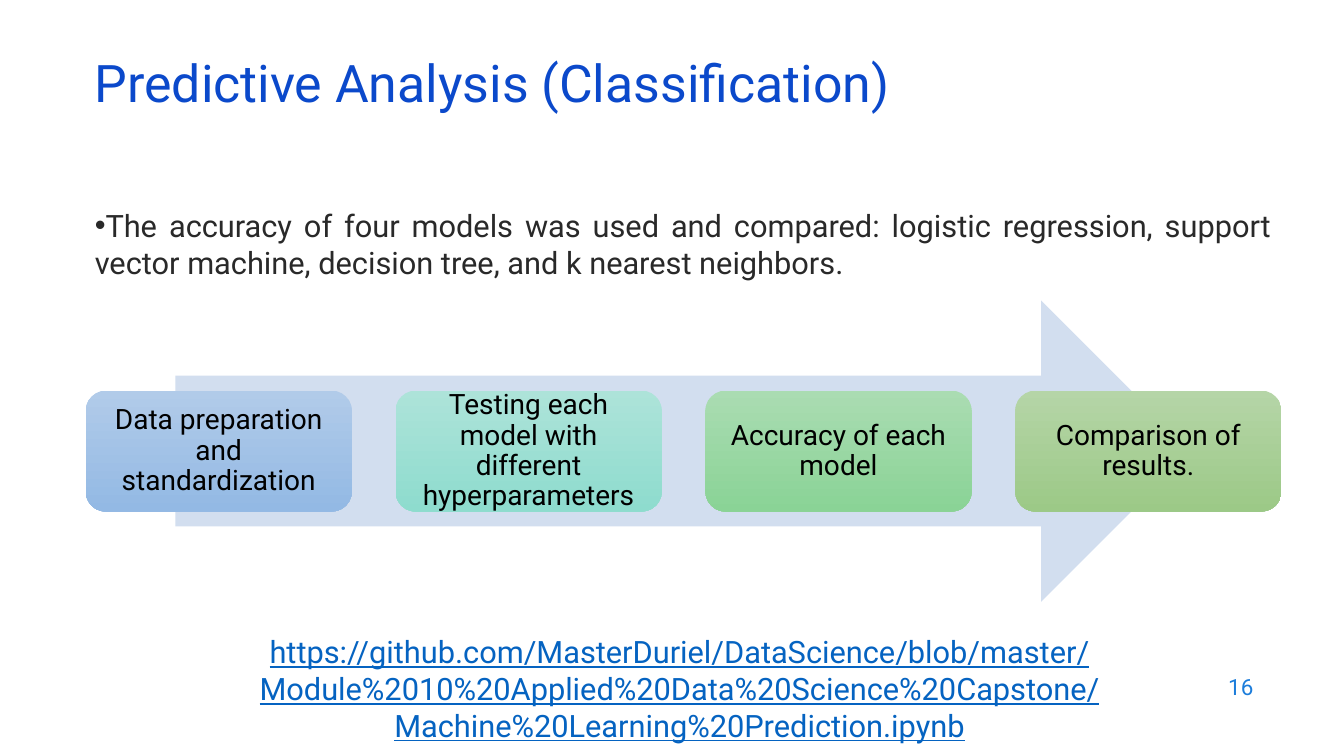
"""Build the slide on predictive analysis with its four-step arrow."""
from pptx import Presentation
from pptx.dml.color import RGBColor
from pptx.enum.shapes import MSO_SHAPE
from pptx.enum.text import MSO_ANCHOR, MSO_AUTO_SIZE, PP_ALIGN
from pptx.util import Inches, Pt
from lxml import etree

ARROW, ROUND = MSO_SHAPE.RIGHT_ARROW, MSO_SHAPE.ROUNDED_RECTANGLE
TOP, MIDDLE = MSO_ANCHOR.TOP, MSO_ANCHOR.MIDDLE
LEFT, CENTER, RIGHT, JUSTIFY = (
    PP_ALIGN.LEFT, PP_ALIGN.CENTER, PP_ALIGN.RIGHT, PP_ALIGN.JUSTIFY)
FIXED = MSO_AUTO_SIZE.NONE

TITLE = "Predictive Analysis (Classification)"
BODY = ("The accuracy of four models was used and compared: logistic regression, "
        "support vector machine, decision tree, and k nearest neighbors.")
LINK = ("https://github.com/MasterDuriel/DataScience/blob/master/"
        "Module%2010%20Applied%20Data%20Science%20Capstone/"
        "Machine%20Learning%20Prediction.ipynb")
PAGE = "16"
STEPS = [
    ("Data preparation and standardization", "B1CBE9", "93B9E4"),
    ("Testing each model with different hyperparameters", "ADE3D9", "8EDCCE"),
    ("Accuracy of each model", "AADCB2", "8AD396"),
    ("Comparison of results.", "B5D5A7", "9CC987"),
]
COLORS = {"title": "0B49CB", "body": "292929", "link": "0563C1",
          "page": "1C7DDB", "step": "000000", "arrow": "D2DEEF"}
FONT = "Roboto"
WIDE, HIGH = 13.33, 7.5
EDGE, SPAN = 0.85, 11.86
CARD_W, CARD_H = 2.64, 1.2
ARROW_W, ARROW_H, ARROW_Y = 0.85 * SPAN, 2.99, 2.98
PAD = 0.14


def rgb(code):
    return RGBColor.from_string(code)


def place(shape, *box):
    shape.left, shape.top, shape.width, shape.height = map(Inches, box)


def write(shape, text, size, color, align, anchor):
    frame = shape.text_frame
    frame.word_wrap, frame.auto_size = True, FIXED
    frame.vertical_anchor = anchor
    para = frame.paragraphs[0]
    para.text, para.alignment = text, align
    para.space_before = Pt(0)
    font = para.font
    font.name, font.size = FONT, Pt(size)
    font.color.rgb = rgb(COLORS[color])
    return para


def add_shape(slide, kind, *box):
    shape = slide.shapes.add_shape(kind, *map(Inches, box))
    shape.shadow.inherit = False
    shape.line.fill.background()
    return shape


def add_flow(slide):
    arrow = add_shape(slide, ARROW, EDGE + (SPAN - ARROW_W) / 2, ARROW_Y,
                      ARROW_W, ARROW_H)
    arrow.fill.solid()
    arrow.fill.fore_color.rgb = rgb(COLORS["arrow"])
    pitch = (SPAN - CARD_W) / (len(STEPS) - 1)
    top = ARROW_Y + (ARROW_H - CARD_H) / 2
    for col, (text, *shades) in enumerate(STEPS):
        card = add_shape(slide, ROUND, EDGE + col * pitch, top, CARD_W, CARD_H)
        card.fill.gradient()
        card.fill.gradient_angle = 270
        for stop, shade in zip(card.fill.gradient_stops, shades):
            stop.color.rgb = rgb(shade)
        frame = card.text_frame
        frame.margin_left = frame.margin_right = Inches(PAD)
        frame.margin_top = frame.margin_bottom = Inches(PAD)
        write(card, text, 20, "step", CENTER, MIDDLE).line_spacing = 0.9


def add_bullet(para):
    props = para._p.get_or_add_pPr()
    props.set("marL", "0")
    props.set("indent", "0")
    space = "http://schemas.openxmlformats.org/drawingml/2006/main"
    etree.SubElement(props, f"{{{space}}}buChar").set("char", "•")


def add_note(slide, box, *style):
    note = slide.shapes.add_textbox(*map(Inches, box))
    return write(note, *style)


def main():
    deck = Presentation()
    deck.slide_width, deck.slide_height = Inches(WIDE), Inches(HIGH)
    slide = deck.slides.add_slide(deck.slide_layouts[1])
    title, body = slide.placeholders
    place(title, 0.84, 0.59, 11.5, 0.6)
    write(title, TITLE, 37, "title", LEFT, MIDDLE).line_spacing = 0.7
    place(body, 0.84, 2, 11.87, 1.03)
    add_bullet(write(body, BODY, 22, "body", JUSTIFY, TOP))
    add_flow(slide)
    link = add_note(slide, (0.52, 6.23, 12.44, 1.03), LINK, 22, "link", CENTER, TOP)
    link.font.underline = True
    add_note(slide, (9.53, 6.59, 3, 0.44), PAGE, 16, "page", RIGHT, MIDDLE)
    deck.save("out.pptx")


if __name__ == "__main__":
    main()
